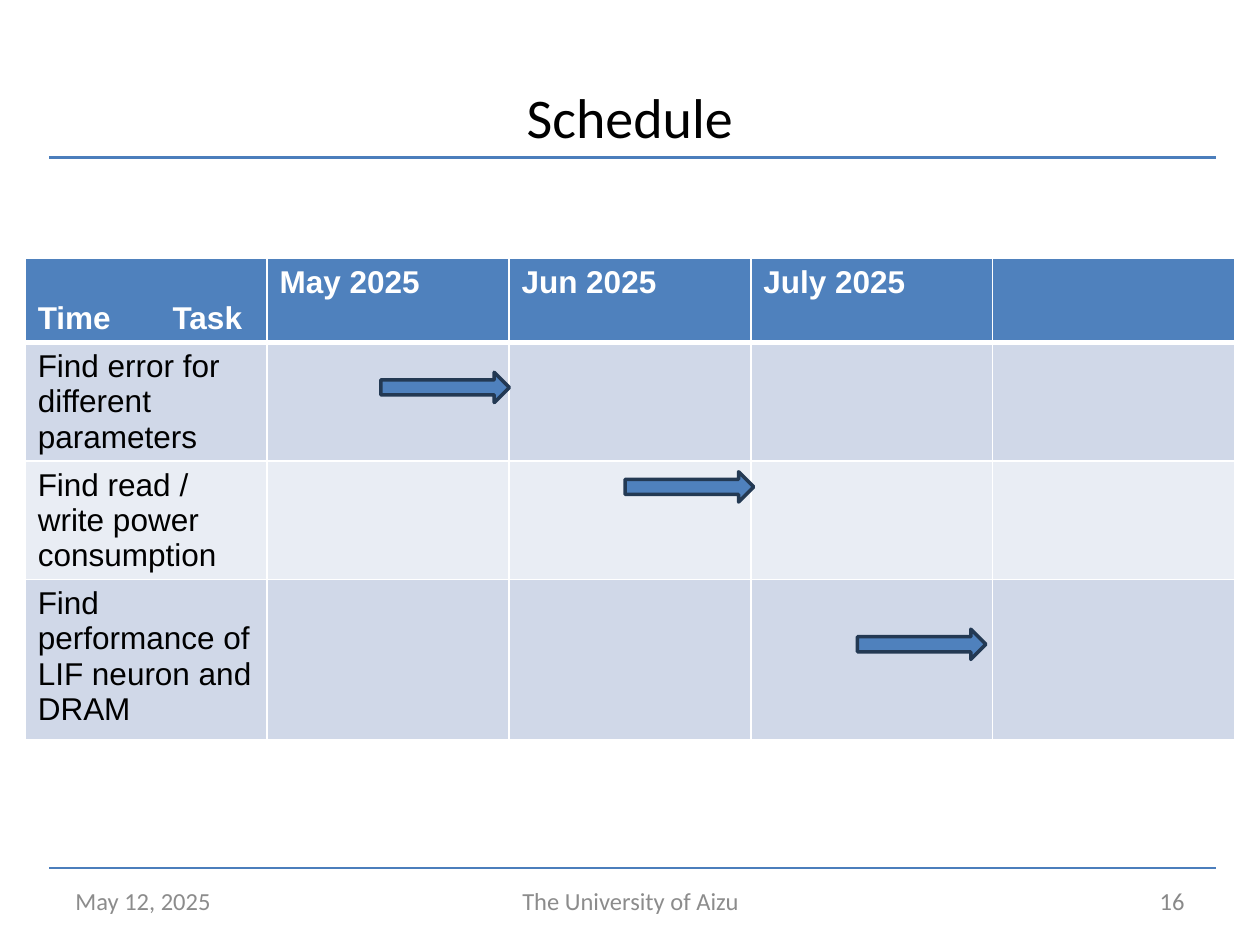
from dataclasses import dataclass
from itertools import accumulate

from lxml import etree
from pptx import Presentation
from pptx.dml.color import RGBColor
from pptx.enum.shapes import MSO_CONNECTOR, MSO_SHAPE
from pptx.enum.text import MSO_ANCHOR, PP_ALIGN
from pptx.oxml.ns import qn
from pptx.util import Inches, Pt

LEFT, CENTER, RIGHT = PP_ALIGN.LEFT, PP_ALIGN.CENTER, PP_ALIGN.RIGHT
TOP, MIDDLE, BOTTOM = MSO_ANCHOR.TOP, MSO_ANCHOR.MIDDLE, MSO_ANCHOR.BOTTOM
STRAIGHT = MSO_CONNECTOR.STRAIGHT
RIGHT_ARROW = MSO_SHAPE.RIGHT_ARROW


@dataclass(frozen=True)
class Theme:
    """Colours, fonts and type sizes of the slide."""
    rule: str = "4B7EBC"
    accent: str = "4F81BD"
    arrow_line: str = "233953"
    bands: tuple = ("D0D8E8", "E9EDF4")
    white: str = "FFFFFF"
    black: str = "000000"
    footer: str = "8C8C8C"
    number: str = "898989"
    head_font: str = "Calibri"
    body_font: str = "Arial"
    title_size: int = 32
    table_size: int = 18
    footer_size: int = 14


T = Theme()
WIDTH, HEIGHT = 10, 7.5
GRID_LEFT, GRID_TOP, COL = 0.2, 2.05, 1.92
ROWS = [0.67, 0.94, 0.94, 1.27]
ROW_TOPS = list(accumulate(ROWS, initial=GRID_TOP))
TASK_TAB = 1.07
MONTHS = ["May 2025", "Jun 2025", "July 2025", ""]
TASKS = [
    "Find error for different parameters",
    "Find read / write power consumption",
    "Find performance of LIF neuron and DRAM",
]
ARROWS = [(1.47, 1, 0.25), (2.48, 2, 0.09), (3.44, 3, 0.31)]
FOOTERS = [
    ("May 12, 2025", 0.5, 2.33, LEFT, T.footer),
    ("The University of Aizu", 3.42, 3.17, CENTER, T.footer),
    ("16", 7.17, 2.33, RIGHT, T.number),
]


def rgb(value):
    """Turn a hex string into a colour."""
    return RGBColor.from_string(value)


def write(tf, text, size, color, font, align=LEFT, anchor=MIDDLE, bold=False):
    """Put one formatted paragraph into a text frame and return it."""
    tf.word_wrap = True
    tf.vertical_anchor = anchor
    p = tf.paragraphs[0]
    p.alignment = align
    p.font.size = Pt(size)
    if text:
        r = p.add_run()
        r.text = text
        r.font.size, r.font.name, r.font.bold = Pt(size), font, bold
        r.font.color.rgb = rgb(color)
    return p


def add_title(s, text):
    """Place and fill the title placeholder."""
    sp = s.shapes.title
    sp.left, sp.top = Inches(0.05 * WIDTH), Inches(0.04 * HEIGHT)
    sp.width, sp.height = Inches(0.9 * WIDTH), Inches(1.25)
    write(sp.text_frame, text, T.title_size, T.black, T.head_font, align=CENTER)


def add_rule(s, y, weight):
    """Draw a horizontal rule across the slide."""
    sp = s.shapes.add_connector(STRAIGHT, Inches(0.39), Inches(y), Inches(9.65), Inches(y))
    sp.line.color.rgb = rgb(T.rule)
    sp.line.width = Pt(weight)
    etree.SubElement(sp._element.spPr, qn("a:effectLst"))


def add_footer(s, text, left, width, align, color):
    """Add one part of the footer."""
    sp = s.shapes.add_textbox(Inches(left), Inches(6.95), Inches(width), Inches(0.4))
    write(sp.text_frame, text, T.footer_size, color, T.head_font, align=align)


def set_tab(p, position):
    """Give a paragraph a left tab stop."""
    tabs = etree.SubElement(p._p.get_or_add_pPr(), qn("a:tabLst"))
    etree.SubElement(tabs, qn("a:tab"), pos=str(Inches(position)), algn="l")


def set_borders(cell, **weights):
    """Draw white cell borders, with weights in points by side."""
    props = cell._tc.get_or_add_tcPr()
    for side in "LRTB":
        width = Pt(weights.get(side, 1))
        ln = etree.SubElement(props, qn("a:ln" + side), w=str(width))
        fill = etree.SubElement(ln, qn("a:solidFill"))
        etree.SubElement(fill, qn("a:srgbClr"), val=T.white)


def fill_cell(cell, text, row):
    """Format a header or task cell and write its text."""
    header = row == 0
    set_borders(cell, T=3 if row == 1 else 1, B=3 if header else 1)
    cell.fill.solid()
    cell.fill.fore_color.rgb = rgb(T.accent if header else T.bands[(row - 1) % 2])
    corner = "\t" in text
    p = write(cell.text_frame, text, T.table_size, T.white if header else T.black,
              T.body_font, bold=header)
    cell.vertical_anchor = BOTTOM if corner else TOP
    if corner:
        set_tab(p, TASK_TAB)


def add_schedule(s):
    """Build the table of tasks by month."""
    content = [["Time\tTask", *MONTHS]] + [[task] + [""] * len(MONTHS) for task in TASKS]
    cols = len(content[0])
    table = s.shapes.add_table(len(ROWS), cols, Inches(GRID_LEFT), Inches(GRID_TOP),
                               Inches(cols * COL), Inches(sum(ROWS))).table
    table.first_row = table.horz_banding = False
    for column in table.columns:
        column.width = Inches(COL)
    for i, (height, texts) in enumerate(zip(ROWS, content)):
        table.rows[i].height = Inches(height)
        for j, text in enumerate(texts):
            fill_cell(table.cell(i, j), text, i)


def add_arrow(s, col, row, share):
    """Draw a time arrow from a column position, at a share of a row's height."""
    left = GRID_LEFT + col * COL
    top = ROW_TOPS[row] + share * ROWS[row]
    sp = s.shapes.add_shape(RIGHT_ARROW, Inches(left), Inches(top), Inches(1.02), Inches(0.24))
    sp.shadow.inherit = False
    sp.fill.solid()
    sp.fill.fore_color.rgb = rgb(T.accent)
    sp.line.color.rgb = rgb(T.arrow_line)
    sp.line.width = Pt(2)


def main():
    """Build and save the schedule slide."""
    prs = Presentation()
    prs.slide_width, prs.slide_height = Inches(WIDTH), Inches(HEIGHT)
    s = prs.slides.add_slide(prs.slide_layouts[5])
    add_rule(s, 6.89, 1.5)
    add_rule(s, 1.25, 2.25)
    add_title(s, "Schedule")
    add_schedule(s)
    for footer in FOOTERS:
        add_footer(s, *footer)
    for arrow in ARROWS:
        add_arrow(s, *arrow)
    prs.save("out.pptx")


if __name__ == "__main__":
    main()
